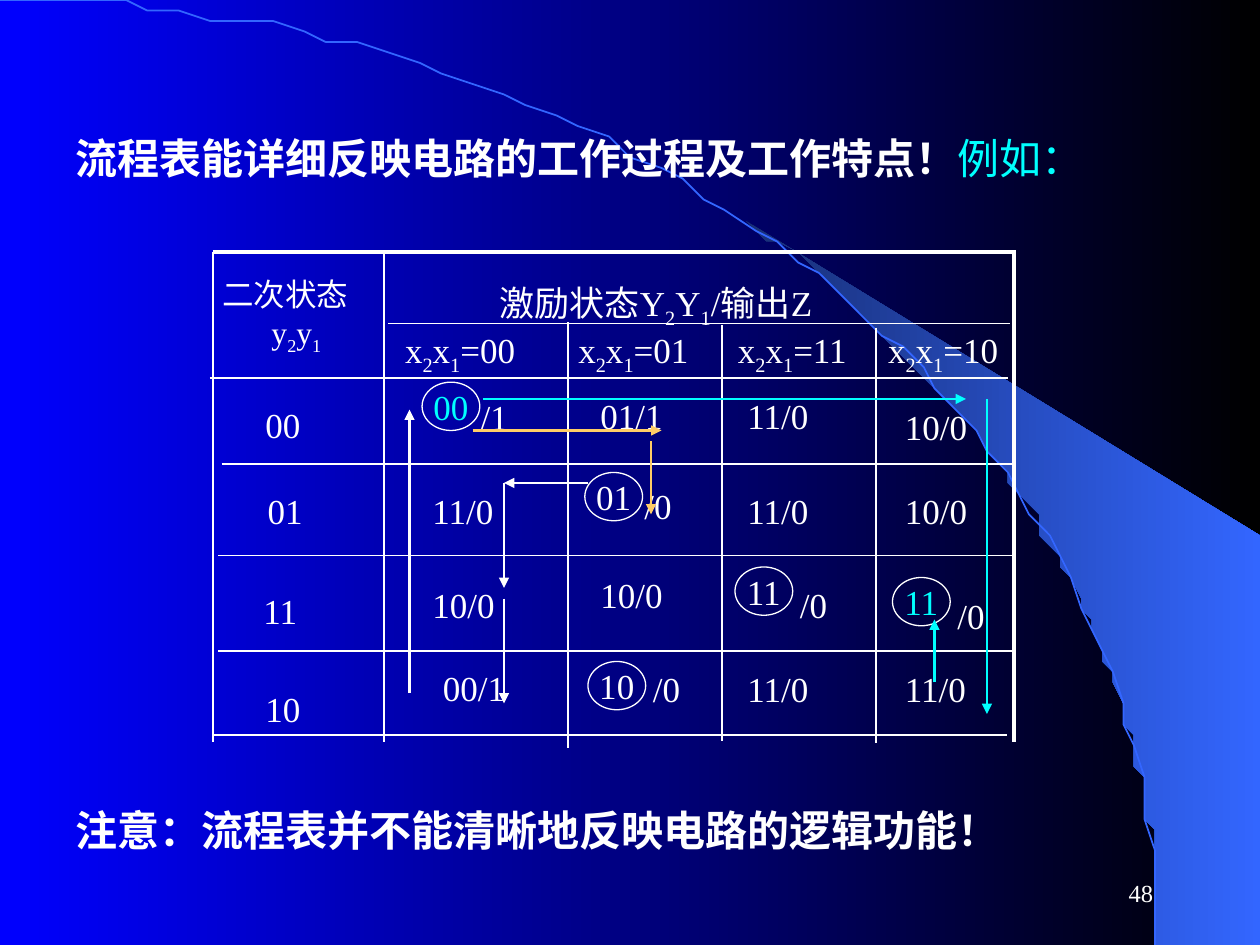
from dataclasses import dataclass
from math import asin, cos, pi, sin

from lxml.etree import SubElement
from pptx import Presentation
from pptx.dml.color import RGBColor
from pptx.enum.shapes import MSO_CONNECTOR, MSO_SHAPE
from pptx.enum.text import MSO_ANCHOR, PP_ALIGN
from pptx.oxml.ns import qn
from pptx.util import Inches, Pt

WHITE = RGBColor(0xFF, 0xFF, 0xFF)
BLACK = RGBColor(0x00, 0x00, 0x00)
BLUE = RGBColor(0x00, 0x00, 0xFF)
CYAN = RGBColor(0x00, 0xFF, 0xFF)
ORANGE = RGBColor(0xFF, 0xCC, 0x66)
NAVY = RGBColor(0x18, 0x2F, 0x76)
SKY = RGBColor(0x33, 0x66, 0xFF)
FONT = "Times New Roman"
GRID_COLUMNS, GRID_ROWS = 120, 90
UNIT = Inches(10) / GRID_COLUMNS
ARC_WIDTH, ARC_HEIGHT = 110.4, 89.9
BAND_START = asin(70.7 / ARC_WIDTH)


@dataclass(frozen=True)
class Label:
    """Text at a grid position, with its box size in grid units."""
    text: str
    left: float
    top: float
    width: float = 10
    height: float = 5.3
    wrap: bool = True


@dataclass(frozen=True)
class StableState:
    """Circled state followed by its output."""
    state: str
    left: float
    top: float
    output: str
    output_left: float
    output_top: float
    color: RGBColor = WHITE


@dataclass(frozen=True)
class Line:
    """Straight line between two grid points."""
    start: tuple[float, float]
    end: tuple[float, float]
    width: float = 1
    color: RGBColor = WHITE
    arrow: bool = False


HEADINGS = [
    Label("激励状态Y_2Y_1/输出Z", 46.4, 26.2, 50, 4),
    Label("x_2x_1=00", 37.4, 30.7, 15.6, 4),
    Label("x_2x_1=01", 53.9, 30.7, 14.6, 4),
    Label("x_2x_1=11", 69.1, 30.7, 14.6, 4),
    Label("x_2x_1=10", 83.4, 30.7, 15.6, 4),
]
ENTRIES = [
    Label("00", 24.1, 37.8), Label("01", 24.3, 46),
    Label("11", 23.9, 55.6), Label("10", 24.1, 64.9),
    Label("01/1", 56, 37), Label("11/0", 70, 37), Label("10/0", 85, 38),
    Label("11/0", 40, 46), Label("11/0", 70, 46), Label("10/0", 85, 46),
    Label("10/0", 40, 55), Label("10/0", 56, 54),
    Label("00/1", 41, 62.9), Label("11/0", 70, 63), Label("11/0", 85, 63),
]
STABLE_STATES = [
    StableState("00", 40.2, 36.4, "/1", 44.6, 37.1, CYAN),
    StableState("01", 55.7, 45, "/0", 60.2, 45.6),
    StableState("11", 70, 54, "/0", 75, 55),
    StableState("11", 85, 55, "/0", 90, 56, CYAN),
    StableState("10", 56, 63, "/0", 61, 63),
]
RULES = [
    *(Line((left, y), (right, y), width) for y, left, right, width in (
        (24, 20.3, 96.8, 2.25), (30.8, 37, 96.2, 1), (36, 20, 96, 1.5),
        (44.2, 21.1, 96.8, 1), (52.9, 20.8, 96.5, 1), (62, 20.8, 96.4, 1),
        (70, 20.3, 95.9, 1))),
    *(Line((x, top), (x, bottom), width) for x, top, bottom, width in (
        (20.3, 24, 70.7, 0.75), (36.6, 24, 70.7, 1), (54.1, 30.7, 71.2, 1),
        (68.8, 31, 70.6, 1), (83.4, 31.2, 70.8, 1), (96.6, 24, 70.7, 2.25))),
]
ARROWS = [Line(start, end, 1.5, color, True) for start, end, color in (
    ((46, 38), (92, 38), CYAN), ((94, 38), (94, 68), CYAN),
    ((89, 65), (89, 59), CYAN), ((56, 46), (48, 46), WHITE),
    ((48, 46), (48, 56), WHITE), ((39, 66), (39, 39), WHITE),
    ((48, 57), (48, 67), WHITE), ((45, 41), (63, 41), ORANGE),
    ((62, 42), (62, 49), ORANGE))]


def grid(*values: float) -> list[int]:
    """Convert grid units to slide lengths."""
    return [round(value * UNIT) for value in values]


def add_text(paragraph, text: str, *, size: float = 20,
             color: RGBColor = WHITE, bold: bool = False) -> None:
    """Append formatted text, lowering each character after an underscore."""
    first, *rest = text.split("_")
    pieces = [(first, False)]
    for part in rest:
        pieces += [(part[:1], True), (part[1:], False)]
    for piece, lowered in pieces:
        if piece:
            run = paragraph.add_run()
            run.text = piece
            run.font.name = FONT
            run.font.size = Pt(size)
            run.font.bold = bold
            run.font.color.rgb = color
            if lowered:
                run.font._element.set("baseline", "-25000")


def add_label(slide, label: Label, **text_format):
    """Draw a label and return its text frame."""
    shape = slide.shapes.add_textbox(
        *grid(label.left, label.top, label.width, label.height))
    shape.text_frame.word_wrap = label.wrap
    add_text(shape.text_frame.paragraphs[0], label.text, **text_format)
    return shape.text_frame


def add_stable_state(slide, stable: StableState) -> None:
    """Draw a circled state and its output."""
    shape = slide.shapes.add_shape(
        MSO_SHAPE.OVAL, *grid(stable.left, stable.top, 5.5, 4.6))
    shape.shadow.inherit = False
    shape.fill.background()
    shape.line.color.rgb = WHITE
    shape.line.width = Pt(0.75)
    frame = shape.text_frame
    frame.word_wrap = False
    frame.vertical_anchor = MSO_ANCHOR.MIDDLE
    frame.paragraphs[0].alignment = PP_ALIGN.CENTER
    add_text(frame.paragraphs[0], stable.state, color=stable.color)
    add_label(slide, Label(stable.output, stable.output_left,
                           stable.output_top, 5, wrap=False))


def add_line(slide, line: Line) -> None:
    """Draw a table rule or a transition arrow."""
    connector = slide.shapes.add_connector(
        MSO_CONNECTOR.STRAIGHT, *grid(*line.start, *line.end))
    connector.line.color.rgb = line.color
    connector.line.width = Pt(line.width)
    if line.arrow:
        SubElement(connector.line._get_or_add_ln(), qn("a:tailEnd"), type="triangle")
    SubElement(connector._element.spPr, qn("a:effectLst"))


def set_gradient(fill, start: RGBColor, end: RGBColor) -> None:
    """Fill from left to right with two colours."""
    fill.gradient()
    fill.gradient_angle = 0
    for position, (stop, color) in enumerate(zip(fill.gradient_stops, (start, end))):
        stop.position = position
        stop.color.rgb = color


def arc_points(start: float, steps: int = 60) -> list[tuple[float, float]]:
    """Return points on the quarter ellipse from an angle to its right end."""
    angles = [start + (pi / 2 - start) * step / steps for step in range(steps + 1)]
    return [(ARC_WIDTH * sin(angle), ARC_HEIGHT * (1 - cos(angle))) for angle in angles]


def add_outline(slide, points: list[tuple[float, float]], close: bool):
    """Draw an outline through grid points."""
    builder = slide.shapes.build_freeform(*points[0], scale=UNIT)
    builder.add_line_segments(points[1:], close=close)
    shape = builder.convert_to_shape()
    shape.shadow.inherit = False
    return shape


def add_backdrop(slide) -> None:
    """Draw the gradient background, the band and the arc."""
    set_gradient(slide.background.fill, BLUE, BLACK)
    corners = [(119.9, 89.9), (119.9, 50.8)]
    band = add_outline(slide, arc_points(BAND_START) + corners, True)
    set_gradient(band.fill, NAVY, SKY)
    band.line.fill.background()
    arc = add_outline(slide, arc_points(0), False)
    arc.fill.background()
    arc.line.color.rgb = SKY
    arc.line.width = Pt(1)


def main() -> None:
    """Build and save the flow table slide."""
    presentation = Presentation()
    presentation.slide_width, presentation.slide_height = grid(GRID_COLUMNS, GRID_ROWS)
    slide = presentation.slides.add_slide(presentation.slide_layouts[6])
    add_backdrop(slide)

    number = add_label(slide, Label("48", 86, 82, 25, 6), size=14)
    number.vertical_anchor = MSO_ANCHOR.MIDDLE
    number.paragraphs[0].alignment = PP_ALIGN.RIGHT
    title = add_label(slide, Label("流程表能详细反映电路的工作过程及工作特点！", 6, 12, 106, 6),
                      size=24, bold=True)
    add_text(title.paragraphs[0], "例如：", size=24, color=CYAN)

    corner = add_label(slide, Label("二次状态", 20, 25.6, 17.5, 7.2), size=18)
    variables = corner.add_paragraph()
    variables._p.get_or_add_pPr().set("marL", str(Inches(0.39)))
    add_text(variables, "y_2y_1", size=18)
    for label in HEADINGS + ENTRIES:
        add_label(slide, label)
    for stable in STABLE_STATES:
        add_stable_state(slide, stable)
    for line in RULES + ARROWS:
        add_line(slide, line)
    add_label(slide, Label("注意：流程表并不能清晰地反映电路的逻辑功能！", 6, 76, 100, 6),
              size=24, bold=True)
    presentation.save("out.pptx")


if __name__ == "__main__":
    main()
